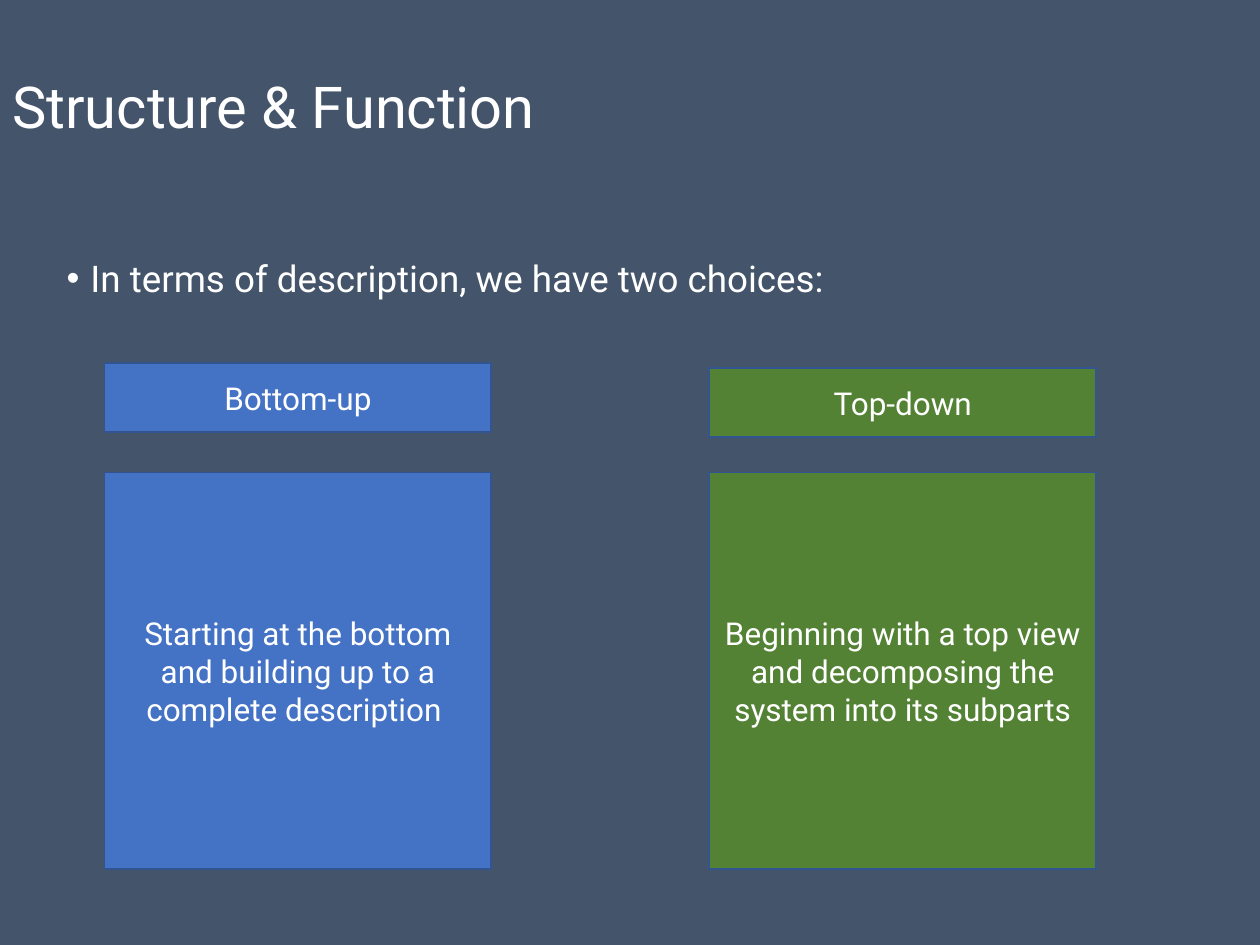
from lxml.etree import SubElement
from pptx import Presentation
from pptx.dml.color import RGBColor
from pptx.enum.shapes import MSO_SHAPE
from pptx.enum.text import MSO_ANCHOR, PP_ALIGN
from pptx.oxml.ns import qn
from pptx.util import Emu, Inches, Pt

FONT = "Roboto"
BACKGROUND, WHITE, OUTLINE = "44546A", "FFFFFF", "325491"
TITLE = "Structure & Function"
LEAD = "In terms of description, we have two choices:"

# Heading, its top, description, fill
CHOICES = [
    ("Bottom-up", 2.88,
     "Starting at the bottom and building up to a complete description ", "4472C4"),
    ("Top-down", 2.92,
     "Beginning with a top view and decomposing the system into its subparts", "548235"),
]
FIRST_LEFT, COLUMN_STEP, COLUMN_WIDTH = 0.83, 4.8, 3.07
HEADING_HEIGHT = 0.55
DETAIL_TOP, DETAIL_HEIGHT = 3.75, 3.15


def colour(value):
    return RGBColor.from_string(value)


def write(shape, text, size, anchor, align, line_spacing=1.0):
    frame = shape.text_frame
    frame.word_wrap = True
    frame.vertical_anchor = anchor
    para = frame.paragraphs[0]
    para.alignment = align
    para.line_spacing = line_spacing
    span = para.add_run()
    span.text = text
    span.font.name = FONT
    span.font.size = Pt(size)
    span.font.color.rgb = colour(WHITE)
    return para


def add_text(page, area, text, size, anchor):
    box = page.shapes.add_textbox(*map(Inches, area))
    return write(box, text, size, anchor, PP_ALIGN.LEFT, 0.9)


def add_bullet(para, indent):
    properties = para._p.get_or_add_pPr()
    properties.set("marL", str(Emu(indent)))
    properties.set("indent", str(-Emu(indent)))
    SubElement(properties, qn("a:buFont"), typeface="Arial")
    SubElement(properties, qn("a:buChar"), char="•")


def add_panel(page, area, text, fill):
    panel = page.shapes.add_shape(MSO_SHAPE.RECTANGLE, *map(Inches, area))
    panel.shadow.inherit = False
    panel.fill.solid()
    panel.fill.fore_color.rgb = colour(fill)
    panel.line.color.rgb = colour(OUTLINE)
    panel.line.width = Pt(1)
    write(panel, text, 18, MSO_ANCHOR.MIDDLE, PP_ALIGN.CENTER)


def main():
    deck = Presentation()
    deck.slide_width, deck.slide_height = Inches(10), Inches(7.5)
    page = deck.slides.add_slide(deck.slide_layouts[6])
    page.background.fill.solid()
    page.background.fill.fore_color.rgb = colour(BACKGROUND)

    # Title and lead sentence
    add_text(page, (0, 0.25, 8.97, 1.25), TITLE, 33, MSO_ANCHOR.MIDDLE)
    lead = add_text(page, (0.43, 2.02, 8.94, 4.56), LEAD, 21, MSO_ANCHOR.TOP)
    add_bullet(lead, Inches(0.19))

    # One column per choice: heading above description
    for column, (heading, heading_top, detail, fill) in enumerate(CHOICES):
        left = FIRST_LEFT + column * COLUMN_STEP
        for top, height, text in ((DETAIL_TOP, DETAIL_HEIGHT, detail),
                                  (heading_top, HEADING_HEIGHT, heading)):
            add_panel(page, (left, top, COLUMN_WIDTH, height), text, fill)

    deck.save("out.pptx")


if __name__ == "__main__":
    main()
